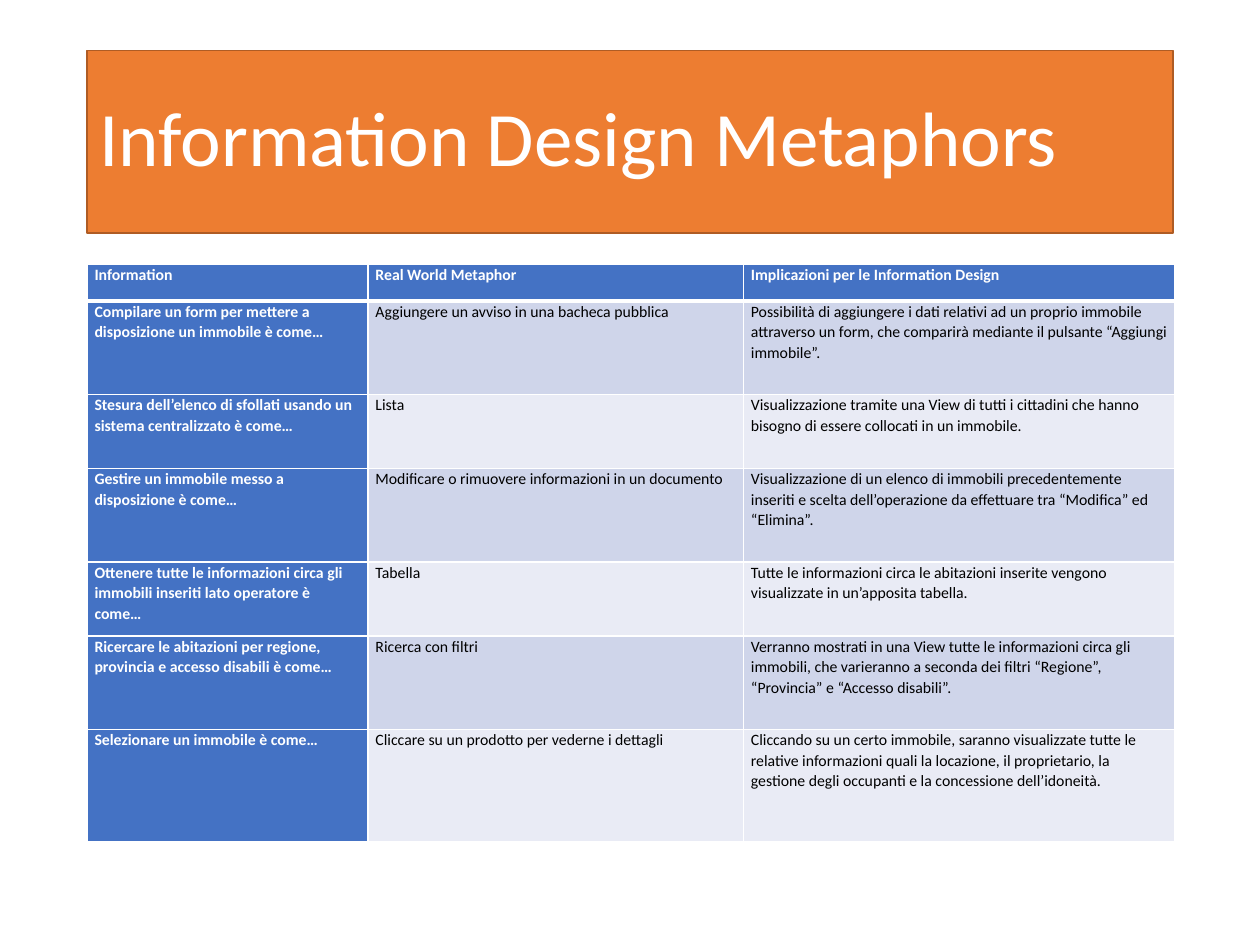
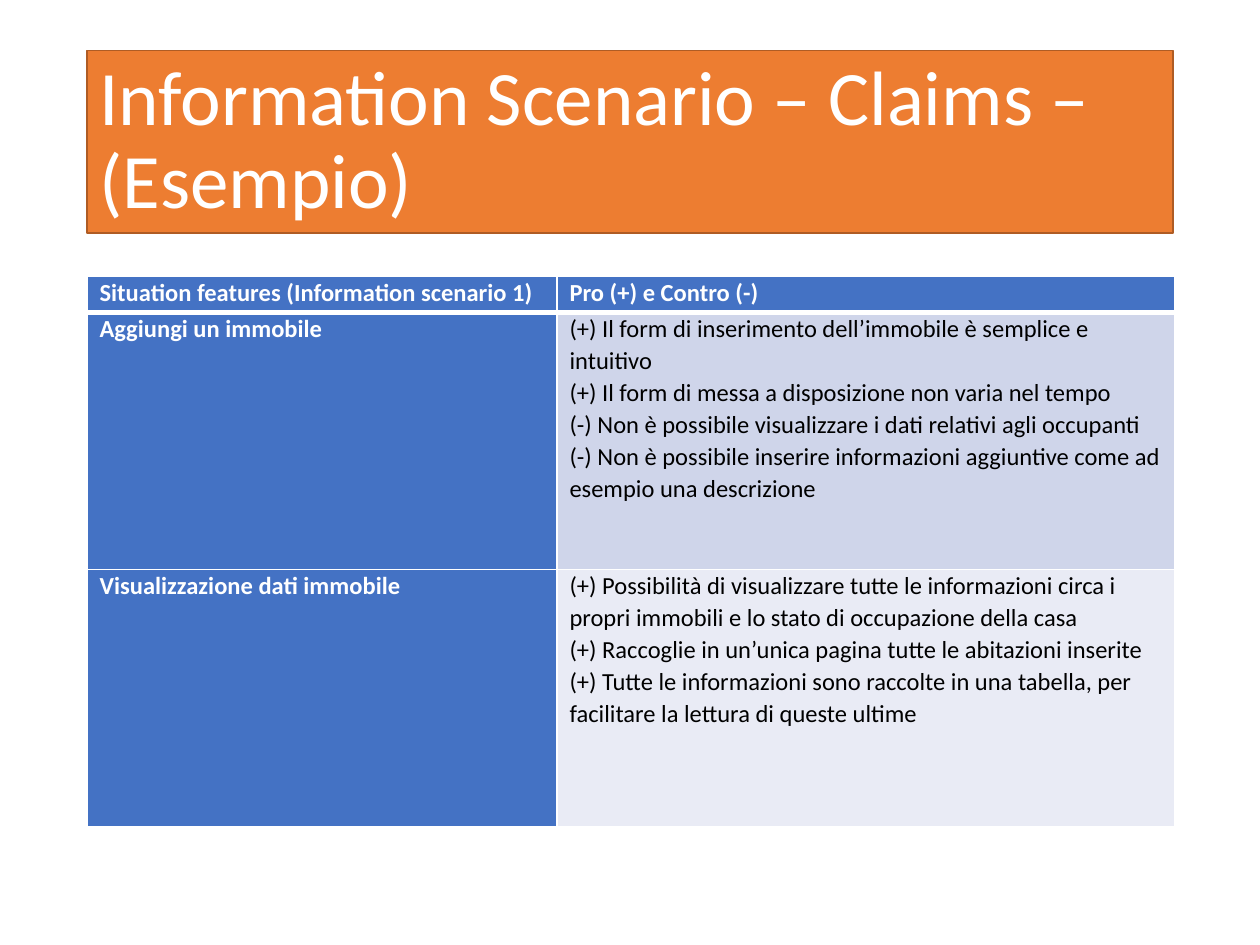
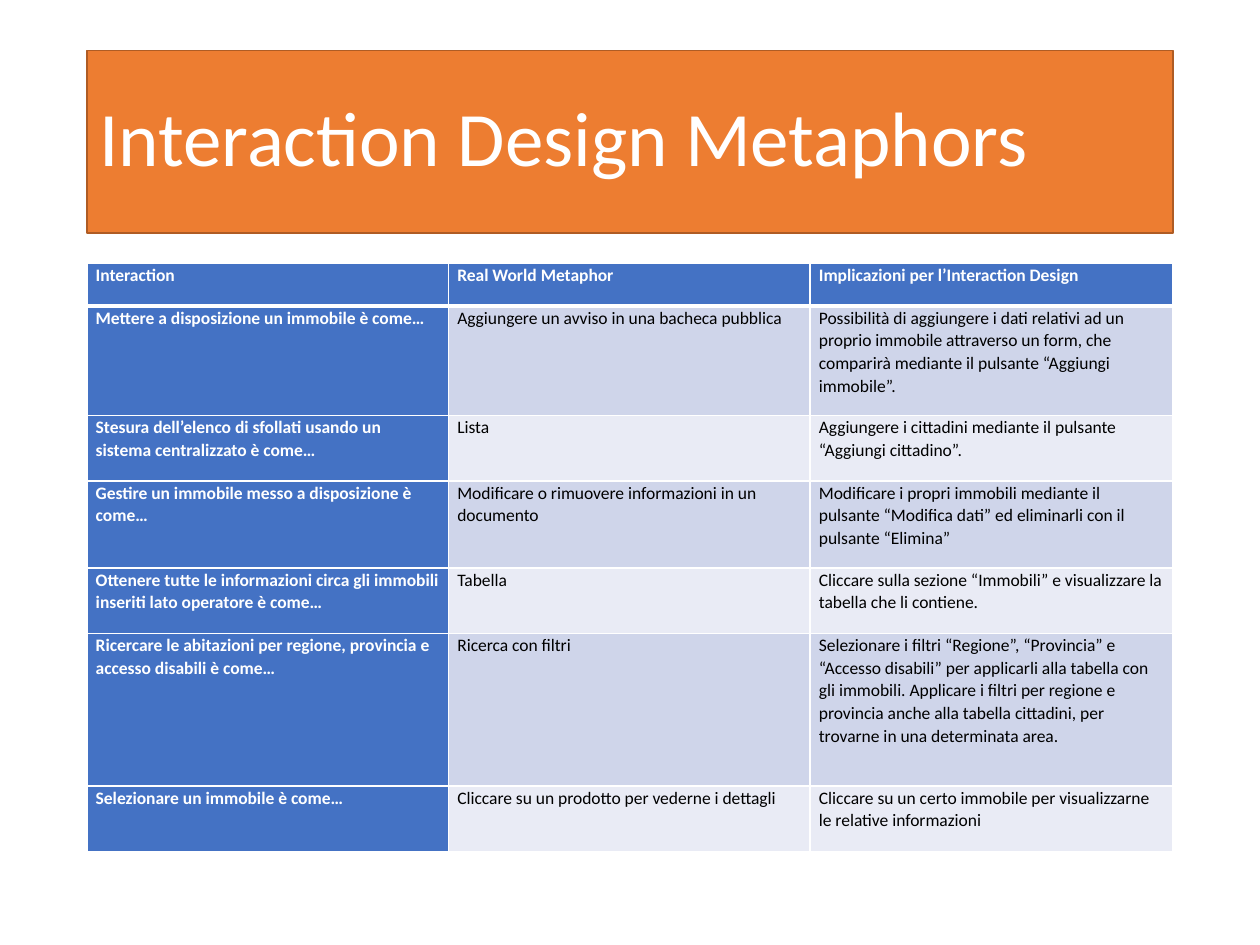
from dataclasses import dataclass

from lxml.etree import SubElement
from pptx import Presentation
from pptx.dml.color import RGBColor
from pptx.enum.shapes import MSO_SHAPE
from pptx.enum.text import MSO_ANCHOR, PP_ALIGN
from pptx.oxml.ns import qn
from pptx.util import Inches, Pt


@dataclass(frozen=True)
class Theme:
    font: str = "Calibri"
    title_size: int = 44
    title_spacing: float = 0.9
    cell_spacing: float = 1.07
    banner: str = "ED7D31"
    banner_edge: str = "AF5C24"
    header: str = "4472C4"
    bands: tuple = ("CFD5EA", "E9EBF5")
    light_text: str = "FFFFFF"
    dark_text: str = "000000"
    rule: str = "FFFFFF"
    thin_rule: int = 1
    thick_rule: int = 3


THEME = Theme()
LEFT = 0.69

# Situation and real world metaphor, common to both metaphor tables
METAPHORS = [
    ("Stesura dell’elenco di sfollati usando un sistema centralizzato è come…", "Lista"),
    ("Gestire un immobile messo a disposizione è come…",
     "Modificare o rimuovere informazioni in un documento"),
    ("Ottenere tutte le informazioni circa gli immobili inseriti lato operatore è come…",
     "Tabella"),
    ("Ricercare le abitazioni per regione, provincia e accesso disabili è come…",
     "Ricerca con filtri"),
    ("Selezionare un immobile è come…",
     "Cliccare su un prodotto per vederne i dettagli"),
]
NOTICE_METAPHOR = "Aggiungere un avviso in una bacheca pubblica"
NOTICE_DESIGN = (
    "Possibilità di aggiungere i dati relativi ad un proprio immobile attraverso un form, "
    "che comparirà mediante il pulsante “Aggiungi immobile”."
)

INFORMATION_DESIGN = [
    "Visualizzazione tramite una View di tutti i cittadini che hanno bisogno di essere "
    "collocati in un immobile.",
    "Visualizzazione di un elenco di immobili precedentemente inseriti e scelta "
    "dell’operazione da effettuare tra “Modifica” ed “Elimina”.",
    "Tutte le informazioni circa le abitazioni inserite vengono visualizzate in "
    "un’apposita tabella.",
    "Verranno mostrati in una View tutte le informazioni circa gli immobili, che "
    "varieranno a seconda dei filtri “Regione”, “Provincia” e “Accesso disabili”.",
    "Cliccando su un certo immobile, saranno visualizzate tutte le relative informazioni "
    "quali la locazione, il proprietario, la gestione degli occupanti e la concessione "
    "dell’idoneità.",
]

INTERACTION_DESIGN = [
    "Aggiungere i cittadini mediante il pulsante “Aggiungi cittadino”.",
    "Modificare i propri immobili mediante il pulsante “Modifica dati” ed eliminarli con "
    "il pulsante “Elimina”",
    "Cliccare sulla sezione “Immobili” e visualizzare la tabella che li contiene.",
    "Selezionare i filtri “Regione”, “Provincia” e “Accesso disabili” per applicarli alla "
    "tabella con gli immobili. Applicare i filtri per regione e provincia anche alla "
    "tabella cittadini, per trovarne in una determinata area.",
    "Cliccare su un certo immobile per visualizzarne le relative informazioni",
]

CLAIMS = [
    ("Situation features (Information scenario 1)", "Pro (+) e Contro (-)"),
    ("Aggiungi un immobile",
     "(+) Il form di inserimento dell’immobile è semplice e intuitivo\n"
     "(+) Il form di messa a disposizione non varia nel tempo\n"
     "(-) Non è possibile visualizzare i dati relativi agli occupanti\n"
     "(-) Non è possibile inserire informazioni aggiuntive come ad esempio una descrizione"),
    ("Visualizzazione dati immobile",
     "(+) Possibilità di visualizzare tutte le informazioni circa i propri immobili e lo "
     "stato di occupazione della casa\n"
     "(+) Raccoglie in un’unica pagina tutte le abitazioni inserite\n"
     "(+) Tutte le informazioni sono raccolte in una tabella, per facilitare la lettura di "
     "queste ultime"),
]


def metaphor_rows(subject, design_heading, first_situation, designs):
    """Join the common metaphors with the design implications of one subject."""
    return [
        (subject, "Real World Metaphor", design_heading),
        (first_situation, NOTICE_METAPHOR, NOTICE_DESIGN),
        *((*metaphor, design) for metaphor, design in zip(METAPHORS, designs)),
    ]


def format_text(text_frame, size, color, spacing, bold=False):
    for paragraph in text_frame.paragraphs:
        paragraph.alignment = PP_ALIGN.LEFT
        paragraph.line_spacing = spacing
        for run in paragraph.runs:
            run.font.name = THEME.font
            run.font.size = Pt(size)
            run.font.bold = bold
            run.font.color.rgb = RGBColor.from_string(color)


def add_title_banner(slide, title):
    banner = slide.shapes.add_shape(
        MSO_SHAPE.RECTANGLE, Inches(LEFT), Inches(0.4), Inches(8.62), Inches(1.45)
    )
    banner.shadow.inherit = False
    banner.fill.solid()
    banner.fill.fore_color.rgb = RGBColor.from_string(THEME.banner)
    banner.line.color.rgb = RGBColor.from_string(THEME.banner_edge)
    banner.line.width = Pt(1)
    banner.text_frame.word_wrap = True
    banner.text_frame.vertical_anchor = MSO_ANCHOR.MIDDLE
    banner.text_frame.text = title
    format_text(banner.text_frame, THEME.title_size, THEME.light_text, THEME.title_spacing)


def set_cell_borders(cell, top, bottom):
    """Rule all four sides; top and bottom are widths in points."""
    properties = cell._tc.get_or_add_tcPr()
    widths = {"a:lnL": THEME.thin_rule, "a:lnR": THEME.thin_rule,
              "a:lnT": top, "a:lnB": bottom}
    for side, width in widths.items():
        line = SubElement(properties, qn(side), w=str(Pt(width)))
        fill = SubElement(line, qn("a:solidFill"))
        SubElement(fill, qn("a:srgbClr"), val=THEME.rule)


def format_cell(cell, row, column, text, size, margin):
    is_heading = row == 0 or column == 0
    set_cell_borders(
        cell,
        top=THEME.thick_rule if row == 1 else THEME.thin_rule,
        bottom=THEME.thick_rule if row == 0 else THEME.thin_rule,
    )
    cell.fill.solid()
    background = THEME.header if is_heading else THEME.bands[(row - 1) % 2]
    cell.fill.fore_color.rgb = RGBColor.from_string(background)
    cell.margin_left = cell.margin_right = Inches(margin)
    cell.margin_top = cell.margin_bottom = 0
    cell.text_frame.text = text
    color = THEME.light_text if is_heading else THEME.dark_text
    format_text(cell.text_frame, size, color, THEME.cell_spacing, bold=is_heading)


def add_design_table(slide, rows, top, widths, heights, size, margin):
    table = slide.shapes.add_table(
        len(rows), len(widths), Inches(LEFT), Inches(top),
        Inches(sum(widths)), Inches(sum(heights)),
    ).table
    table.first_row = True
    table.first_col = True
    table.horz_banding = False
    for column, width in zip(table.columns, widths):
        column.width = Inches(width)
    for table_row, height in zip(table.rows, heights):
        table_row.height = Inches(height)
    for row, texts in enumerate(rows):
        for column, text in enumerate(texts):
            format_cell(table.cell(row, column), row, column, text, size, margin)


def add_table_slide(deck, title, rows, **table_layout):
    slide = deck.slides.add_slide(deck.slide_layouts[6])
    add_title_banner(slide, title)
    add_design_table(slide, rows, **table_layout)


def main():
    deck = Presentation()
    deck.slide_width, deck.slide_height = Inches(10), Inches(7.5)

    add_table_slide(
        deck, "Information Design Metaphors",
        metaphor_rows(
            "Information", "Implicazioni per le Information Design",
            "Compilare un form per mettere a disposizione un immobile è come…",
            INFORMATION_DESIGN,
        ),
        top=2.1, widths=[2.23, 2.98, 3.42],
        heights=[0.29, 0.74, 0.59, 0.74, 0.59, 0.74, 0.89], size=9, margin=0.06,
    )
    add_table_slide(
        deck, "Information Scenario – Claims – (Esempio)", CLAIMS,
        top=2.19, widths=[3.73, 4.9], heights=[0.29, 2.04, 2.04], size=14, margin=0.1,
    )
    add_table_slide(
        deck, "Interaction Design Metaphors",
        metaphor_rows(
            "Interaction", "Implicazioni per l’Interaction Design",
            "Mettere a disposizione un immobile è come…", INTERACTION_DESIGN,
        ),
        top=2.09, widths=[2.87, 2.87, 2.88],
        heights=[0.34, 0.87, 0.52, 0.69, 0.52, 1.21, 0.52], size=10, margin=0.07,
    )
    deck.save("out.pptx")


if __name__ == "__main__":
    main()
